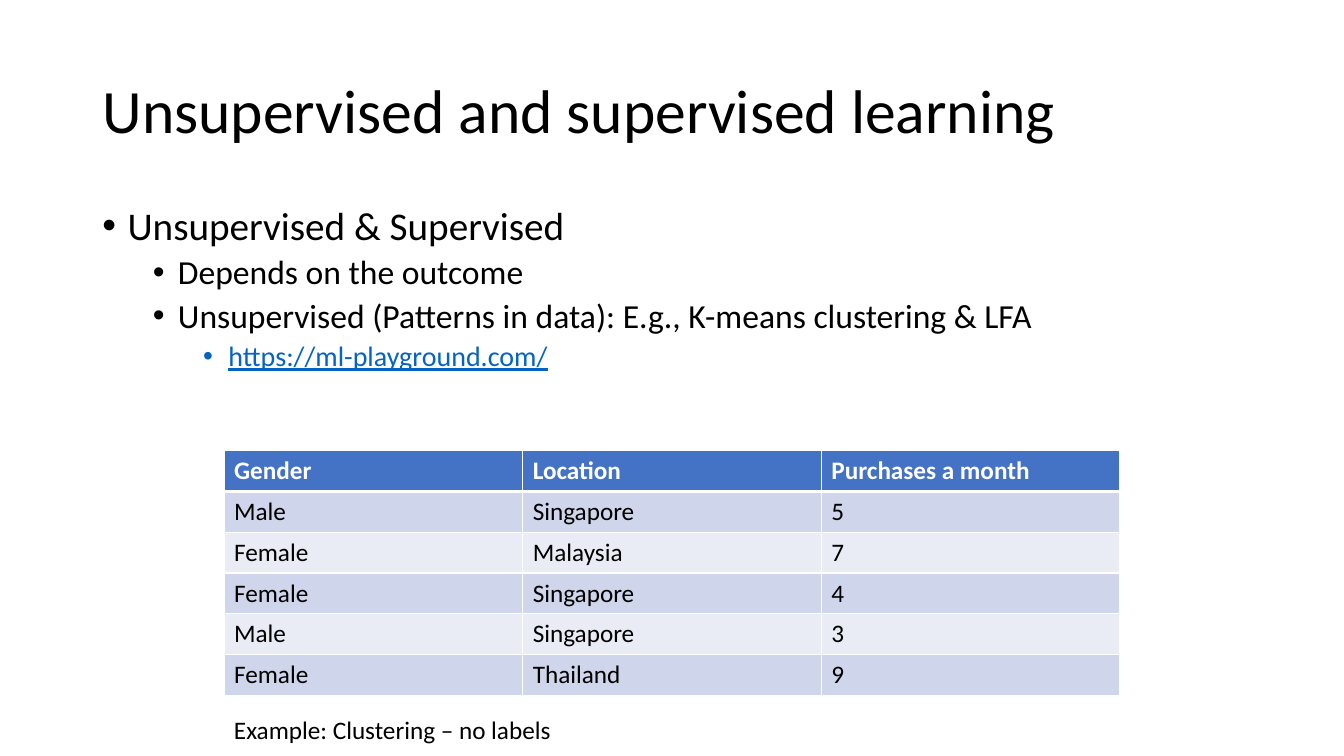
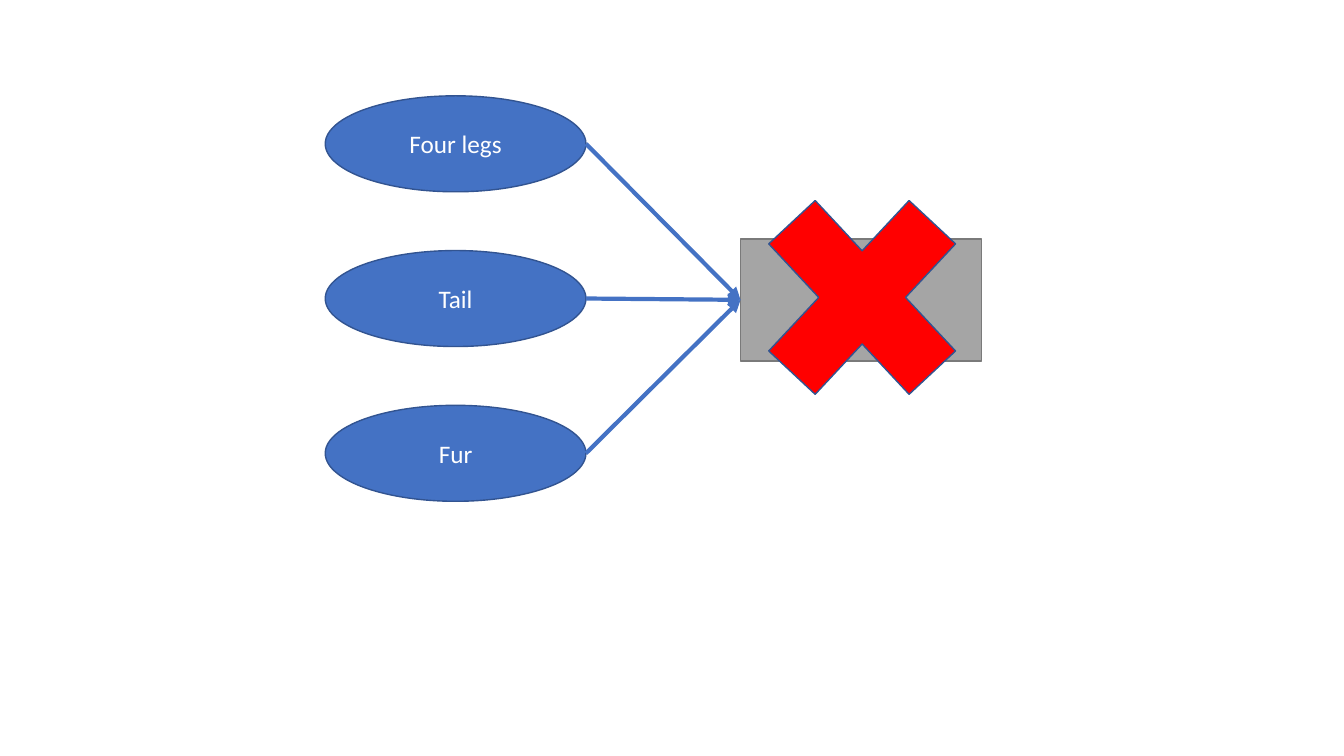
from dataclasses import dataclass
from typing import Any

from lxml.etree import SubElement
from pptx import Presentation
from pptx.dml.color import RGBColor
from pptx.enum.shapes import MSO_CONNECTOR, MSO_SHAPE
from pptx.enum.text import MSO_ANCHOR, MSO_AUTO_SIZE, PP_ALIGN
from pptx.oxml.ns import qn
from pptx.util import Inches, Pt

SLIDE_WIDTH, SLIDE_HEIGHT = Inches(13.33), Inches(7.5)
TITLE_ONLY_LAYOUT, BLANK_LAYOUT = 5, 6


@dataclass(frozen=True)
class Theme:
    """Colours, type sizes and line widths of the presentation."""

    font: str = "Calibri"
    ink: RGBColor = RGBColor.from_string("000000")
    paper: RGBColor = RGBColor.from_string("FFFFFF")
    link: RGBColor = RGBColor.from_string("0563C1")
    accent: RGBColor = RGBColor.from_string("4472C4")
    accent_edge: RGBColor = RGBColor.from_string("325491")
    outcome: RGBColor = RGBColor.from_string("A5A5A5")
    outcome_edge: RGBColor = RGBColor.from_string("7A7A7A")
    cross: RGBColor = RGBColor.from_string("FF0000")
    bands: tuple[RGBColor, ...] = (
        RGBColor.from_string("CFD5EA"),
        RGBColor.from_string("E9EBF5"),
    )
    title_size: int = 44
    level_sizes: tuple[int, ...] = (28, 24, 20)
    text_size: int = 18
    edge_width: int = 1
    heavy_width: int = 3


THEME = Theme()


@dataclass(frozen=True)
class Frame:
    """A rectangle in percent of the slide's width and height."""

    left: float
    top: float
    width: float
    height: float

    @property
    def middle(self) -> float:
        """Return the vertical centre."""
        return self.top + self.height / 2

    @property
    def right(self) -> float:
        """Return the right edge."""
        return self.left + self.width

    def box(self) -> tuple[int, int, int, int]:
        """Return left, top, width and height as slide lengths."""
        return (*point(self.left, self.top), *point(self.width, self.height))


@dataclass(frozen=True)
class Bullet:
    """One line of the bullet list."""

    text: str
    level: int = 0
    is_link: bool = False


@dataclass(frozen=True)
class Figure:
    """A filled preset shape with an optional label."""

    kind: MSO_SHAPE
    frame: Frame
    fill: RGBColor
    edge: RGBColor
    label: str = ""


BULLETS = (
    Bullet("Unsupervised & Supervised"),
    Bullet("Depends on the outcome", 1),
    Bullet("Unsupervised (Patterns in data): E.g., K-means clustering & LFA", 1),
    Bullet("https://ml-playground.com/", 2, is_link=True),
)
PURCHASES = (
    ("Gender", "Location", "Purchases a month"),
    ("Male", "Singapore", "5"),
    ("Female", "Malaysia", "7"),
    ("Female", "Singapore", "4"),
    ("Male", "Singapore", "3"),
    ("Female", "Thailand", "9"),
)
FEATURES = ("Four legs", "Tail", "Fur")
FEATURE_FRAME = Frame(24.2, 12.67, 19.4, 12.7)
FEATURE_PITCH = 20.47


def point(across: float, down: float) -> tuple[int, int]:
    """Turn shares of the slide into a position."""
    return round(SLIDE_WIDTH * across / 100), round(SLIDE_HEIGHT * down / 100)


def apply_format(target: Any, values: dict[str, Any]) -> None:
    """Set each named attribute of the target."""
    for name, value in values.items():
        setattr(target, name, value)


def write(paragraph: Any, text: str, size: int, color: RGBColor, **font_format: Any) -> None:
    """Put a formatted text into a paragraph."""
    run = paragraph.add_run()
    run.text = text
    apply_format(run.font, {"name": THEME.font, "size": Pt(size), **font_format})
    run.font.color.rgb = color


def add_title(slide: Any, text: str) -> None:
    """Place and format the title placeholder."""
    title = slide.shapes.title
    apply_format(title, dict(zip(("left", "top", "width", "height"), Frame(6.88, 5.33, 86.25, 19.33).box())))
    frame_format = {"vertical_anchor": MSO_ANCHOR.MIDDLE, "auto_size": MSO_AUTO_SIZE.NONE, "word_wrap": True}
    apply_format(title.text_frame, frame_format)
    paragraph = title.text_frame.paragraphs[0]
    apply_format(paragraph, {"alignment": PP_ALIGN.LEFT, "line_spacing": 0.9})
    write(paragraph, text, THEME.title_size, THEME.ink)


def add_text_box(slide: Any, frame: Frame) -> Any:
    """Add a wrapping text box and return its text frame."""
    text_frame = slide.shapes.add_textbox(*frame.box()).text_frame
    text_frame.word_wrap = True
    return text_frame


def add_bullets(slide: Any, frame: Frame, bullets: tuple[Bullet, ...]) -> None:
    """Add a bullet list with one indent step per level."""
    text_frame = add_text_box(slide, frame)
    for index, bullet in enumerate(bullets):
        paragraph = text_frame.add_paragraph() if index else text_frame.paragraphs[0]
        properties = paragraph._p.get_or_add_pPr()
        properties.set("marL", str(Inches(0.25 + 0.5 * bullet.level)))
        properties.set("indent", str(Inches(-0.25)))
        SubElement(properties, qn("a:buFont"), typeface="Arial")
        SubElement(properties, qn("a:buChar"), char="•")
        space_before = Pt(5 if index else 0)
        apply_format(paragraph, {"level": bullet.level, "line_spacing": 0.9, "space_before": space_before})
        color = THEME.link if bullet.is_link else THEME.ink
        write(paragraph, bullet.text, THEME.level_sizes[bullet.level], color, underline=bullet.is_link)


def set_borders(cell: Any, widths: dict[str, int]) -> None:
    """Draw the cell's borders in the paper colour."""
    properties = cell._tc.get_or_add_tcPr()
    for side, width in widths.items():
        border = SubElement(properties, qn(f"a:ln{side}"), w=str(Pt(width)))
        fill = SubElement(border, qn("a:solidFill"))
        SubElement(fill, qn("a:srgbClr"), val=str(THEME.paper))


def add_banded_table(slide: Any, frame: Frame, rows: tuple[tuple[str, ...], ...]) -> None:
    """Add a table with a header row and alternating bands."""
    table = slide.shapes.add_table(len(rows), len(rows[0]), *frame.box()).table
    table.horz_banding = False
    for row_index, row in enumerate(rows):
        is_header = row_index == 0
        fill = THEME.accent if is_header else THEME.bands[(row_index - 1) % 2]
        color = THEME.paper if is_header else THEME.ink
        top = THEME.heavy_width if row_index == 1 else THEME.edge_width
        bottom = THEME.heavy_width if is_header else THEME.edge_width
        for column_index, text in enumerate(row):
            cell = table.cell(row_index, column_index)
            set_borders(cell, {"L": THEME.edge_width, "R": THEME.edge_width, "T": top, "B": bottom})
            cell.fill.solid()
            cell.fill.fore_color.rgb = fill
            write(cell.text_frame.paragraphs[0], text, THEME.text_size, color, bold=is_header)


def add_figure(slide: Any, figure: Figure) -> None:
    """Draw a preset shape and its label."""
    shape = slide.shapes.add_shape(figure.kind, *figure.frame.box())
    shape.shadow.inherit = False
    shape.fill.solid()
    shape.fill.fore_color.rgb = figure.fill
    shape.line.color.rgb = figure.edge
    shape.line.width = Pt(THEME.edge_width)
    if figure.label:
        shape.text_frame.vertical_anchor = MSO_ANCHOR.MIDDLE
        paragraph = shape.text_frame.paragraphs[0]
        paragraph.alignment = PP_ALIGN.CENTER
        write(paragraph, figure.label, THEME.text_size, THEME.paper)


def add_arrow(slide: Any, source: Frame, target: Frame) -> None:
    """Draw an arrow from the right of one frame to the left of another."""
    start, end = point(source.right, source.middle), point(target.left, target.middle)
    connector = slide.shapes.add_connector(MSO_CONNECTOR.STRAIGHT, *start, *end)
    connector.line.color.rgb = THEME.accent
    connector.line.width = Pt(THEME.heavy_width)
    properties = connector.element.spPr
    SubElement(properties.find(qn("a:ln")), qn("a:tailEnd"), type="triangle")
    SubElement(properties, qn("a:effectLst"))


def build_learning_slide(presentation: Any) -> None:
    """Build the slide on unsupervised and supervised learning."""
    slide = presentation.slides.add_slide(presentation.slide_layouts[TITLE_ONLY_LAYOUT])
    add_title(slide, "Unsupervised and supervised learning")
    add_bullets(slide, Frame(6.88, 26.67, 86.25, 63.47), BULLETS)
    add_banded_table(slide, Frame(16.67, 59.6, 66.67, 32.4), PURCHASES)
    caption = add_text_box(slide, Frame(16.67, 93.87, 30.75, 5.33))
    write(caption.paragraphs[0], "Example: Clustering – no labels", THEME.text_size, THEME.ink)


def build_features_slide(presentation: Any) -> None:
    """Build the diagram of features leading to a crossed-out outcome."""
    slide = presentation.slides.add_slide(presentation.slide_layouts[BLANK_LAYOUT])
    first = FEATURE_FRAME
    feature_frames = [
        Frame(first.left, first.top + index * FEATURE_PITCH, first.width, first.height)
        for index in range(len(FEATURES))
    ]
    outcome = Frame(55.1, 31.6, 17.95, 16.13)
    for label, frame in zip(FEATURES, feature_frames):
        add_figure(slide, Figure(MSO_SHAPE.OVAL, frame, THEME.accent, THEME.accent_edge, label))
    add_figure(slide, Figure(MSO_SHAPE.RECTANGLE, outcome, THEME.outcome, THEME.outcome_edge))
    for frame in feature_frames:
        add_arrow(slide, frame, outcome)
    cross = Frame(54.1, 20.2, 20.1, 38.3)
    add_figure(slide, Figure(MSO_SHAPE.MATH_MULTIPLY, cross, THEME.cross, THEME.accent_edge))


def main() -> None:
    """Build and save the presentation."""
    presentation = Presentation()
    apply_format(presentation, {"slide_width": SLIDE_WIDTH, "slide_height": SLIDE_HEIGHT})
    build_learning_slide(presentation)
    build_features_slide(presentation)
    presentation.save("out.pptx")


if __name__ == "__main__":
    main()
